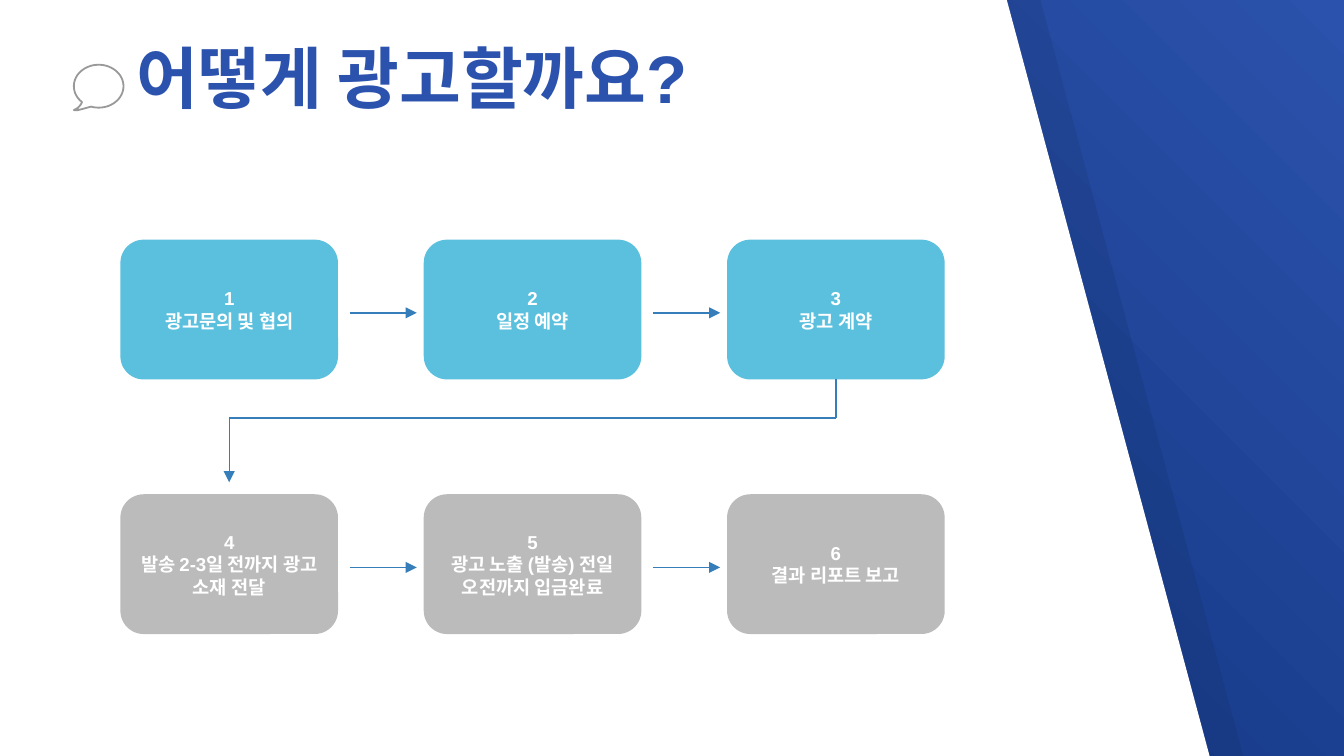
"""Build the advertising process slide with its six numbered steps."""
import math
from dataclasses import dataclass

import lxml.etree
import pptx
import pptx.dml.color
import pptx.enum.shapes
import pptx.enum.text
import pptx.oxml.ns
import pptx.shapes.autoshape
import pptx.slide
import pptx.text.text
import pptx.util

Pt = pptx.util.Pt
RGBColor = pptx.dml.color.RGBColor
qn = pptx.oxml.ns.qn
Point = tuple[float, float]

NAVY = RGBColor(0x00, 0x20, 0x60)
BLUE = RGBColor(0x2B, 0x52, 0xAC)
SKY = RGBColor(0x5B, 0xC0, 0xDE)
SILVER = RGBColor(0xBB, 0xBB, 0xBB)
GRAY = RGBColor(0x99, 0x99, 0x99)
ARROW_BLUE = RGBColor(0x36, 0x7E, 0xB9)
WHITE = RGBColor(0xFF, 0xFF, 0xFF)
BLACK = RGBColor(0x00, 0x00, 0x00)

SLIDE_WIDTH, SLIDE_HEIGHT = 720, 405
STEP_WIDTH, STEP_HEIGHT = 116.6, 74.9
GRID_LEFT, GRID_TOP = 64.5, 128.4
COLUMN_PITCH, ROW_PITCH = 162.5, 136.4
COLUMNS = 3


@dataclass(frozen=True)
class Step:
    number: int
    label: str

    @property
    def row(self) -> int:
        return (self.number - 1) // COLUMNS

    @property
    def column(self) -> int:
        return (self.number - 1) % COLUMNS

    @property
    def left(self) -> float:
        return GRID_LEFT + self.column * COLUMN_PITCH

    @property
    def top(self) -> float:
        return GRID_TOP + self.row * ROW_PITCH

    @property
    def center(self) -> float:
        return self.left + STEP_WIDTH / 2


STEPS = [
    Step(1, "광고문의 및 협의"),
    Step(2, "일정 예약"),
    Step(3, "광고 계약"),
    Step(4, "발송 2-3일 전까지 광고 소재 전달"),
    Step(5, "광고 노출 (발송) 전일 오전까지 입금완료"),
    Step(6, "결과 리포트 보고"),
]


def draw_outline(
    slide: pptx.slide.Slide, points: list[Point]
) -> pptx.shapes.autoshape.Shape:
    """Draw a closed outline through the points."""
    corners = [(Pt(x), Pt(y)) for x, y in points]
    builder = slide.shapes.build_freeform(*corners[0])
    builder.add_line_segments(corners[1:], close=True)
    outline = builder.convert_to_shape()
    outline.shadow.inherit = False
    return outline


def draw_panel(
    slide: pptx.slide.Slide, left: float, color: RGBColor, opacity: int = 100
) -> None:
    """Draw a slanted background panel."""
    panel = draw_outline(
        slide,
        [(left, 0), (left, SLIDE_HEIGHT), (left + 648, SLIDE_HEIGHT), (left + 539.4, 0)],
    )
    panel.fill.solid()
    panel.fill.fore_color.rgb = color
    panel.line.fill.background()
    if opacity < 100:
        tint = panel._element.spPr.find(qn("a:solidFill")).find(qn("a:srgbClr"))
        lxml.etree.SubElement(tint, qn("a:alpha"), val=str(opacity * 1000))


def draw_bubble(slide: pptx.slide.Slide) -> None:
    """Draw the speech bubble beside the title."""
    rim = [
        (52.9 + 13.3 * math.cos(math.radians(a)), 46.2 + 11.5 * math.sin(math.radians(a)))
        for a in range(132, 474, 6)
    ]
    tail = [(44.6, 58.3), (41.8, 59), (39.6, 59), (41.8, 57.8), (43.2, 56.2)]
    bubble = draw_outline(slide, rim + tail)
    bubble.fill.background()
    bubble.line.color.rgb = GRAY
    bubble.line.width = Pt(0.96)


def add_text(
    paragraph: pptx.text.text._Paragraph, text: str, size: float, color: RGBColor
) -> None:
    """Add one bold run to the paragraph."""
    run = paragraph.add_run()
    run.text = text
    run.font.name = "Arial"
    run.font.size = Pt(size)
    run.font.bold = True
    run.font.color.rgb = color


def draw_title(slide: pptx.slide.Slide, text: str) -> None:
    """Draw the slide title."""
    title = slide.shapes.add_textbox(Pt(66.2), Pt(23.8), Pt(419), Pt(46)).text_frame
    title.word_wrap = True
    title.vertical_anchor = pptx.enum.text.MSO_ANCHOR.BOTTOM
    title.margin_left = title.margin_right = Pt(7.2)
    title.margin_top = title.margin_bottom = Pt(7.2)
    add_text(title.paragraphs[0], text, 36, BLUE)


def draw_step(slide: pptx.slide.Slide, step: Step) -> None:
    """Draw one rounded step with its number and label."""
    card = slide.shapes.add_shape(
        pptx.enum.shapes.MSO_SHAPE.ROUNDED_RECTANGLE,
        Pt(step.left), Pt(step.top), Pt(STEP_WIDTH), Pt(STEP_HEIGHT),
    )
    card.shadow.inherit = False
    card.fill.solid()
    card.fill.fore_color.rgb = SILVER if step.row else SKY
    card.line.fill.background()
    body = card.text_frame
    body.word_wrap = True
    body.vertical_anchor = pptx.enum.text.MSO_ANCHOR.MIDDLE
    for paragraph, text in (
        (body.paragraphs[0], str(step.number)),
        (body.add_paragraph(), step.label),
    ):
        paragraph.alignment = pptx.enum.text.PP_ALIGN.CENTER
        add_text(paragraph, text, 10, WHITE)


def draw_line(
    slide: pptx.slide.Slide, start: Point, end: Point, arrow: bool = True
) -> None:
    """Draw a straight line, with an arrowhead at its end if wanted."""
    line = slide.shapes.add_connector(
        pptx.enum.shapes.MSO_CONNECTOR.STRAIGHT, *map(Pt, start + end)
    )
    line.line.color.rgb = ARROW_BLUE
    line.line.width = Pt(0.75)
    properties = line._element.spPr
    if arrow:
        lxml.etree.SubElement(properties.find(qn("a:ln")), qn("a:tailEnd"), type="triangle")
    lxml.etree.SubElement(properties, qn("a:effectLst"))


def main() -> None:
    """Assemble and save the slide."""
    deck = pptx.Presentation()
    deck.slide_width, deck.slide_height = Pt(SLIDE_WIDTH), Pt(SLIDE_HEIGHT)
    slide = deck.slides.add_slide(deck.slide_layouts[6])
    backdrop = slide.background.fill
    backdrop.gradient()
    backdrop.gradient_angle = 45
    for stop, color in zip(backdrop.gradient_stops, (NAVY, BLUE)):
        stop.color.rgb = color

    draw_panel(slide, 18, BLACK, opacity=7)
    draw_panel(slide, 0, WHITE)
    draw_title(slide, "어떻게 광고할까요?")
    draw_bubble(slide)
    for step in STEPS:
        draw_step(slide, step)
    for step in STEPS:
        if step.column < COLUMNS - 1:
            start, height = step.left + 122.8, step.top + 39.2
            draw_line(slide, (start, height), (start + 36, height))

    third, fourth = STEPS[2], STEPS[3]
    turn = 224
    draw_line(slide, (third.center, third.top + STEP_HEIGHT), (third.center, turn), arrow=False)
    draw_line(slide, (third.center, turn), (fourth.center, turn), arrow=False)
    draw_line(slide, (fourth.center, turn), (fourth.center, fourth.top - 6.4))
    deck.save("out.pptx")


if __name__ == "__main__":
    main()
